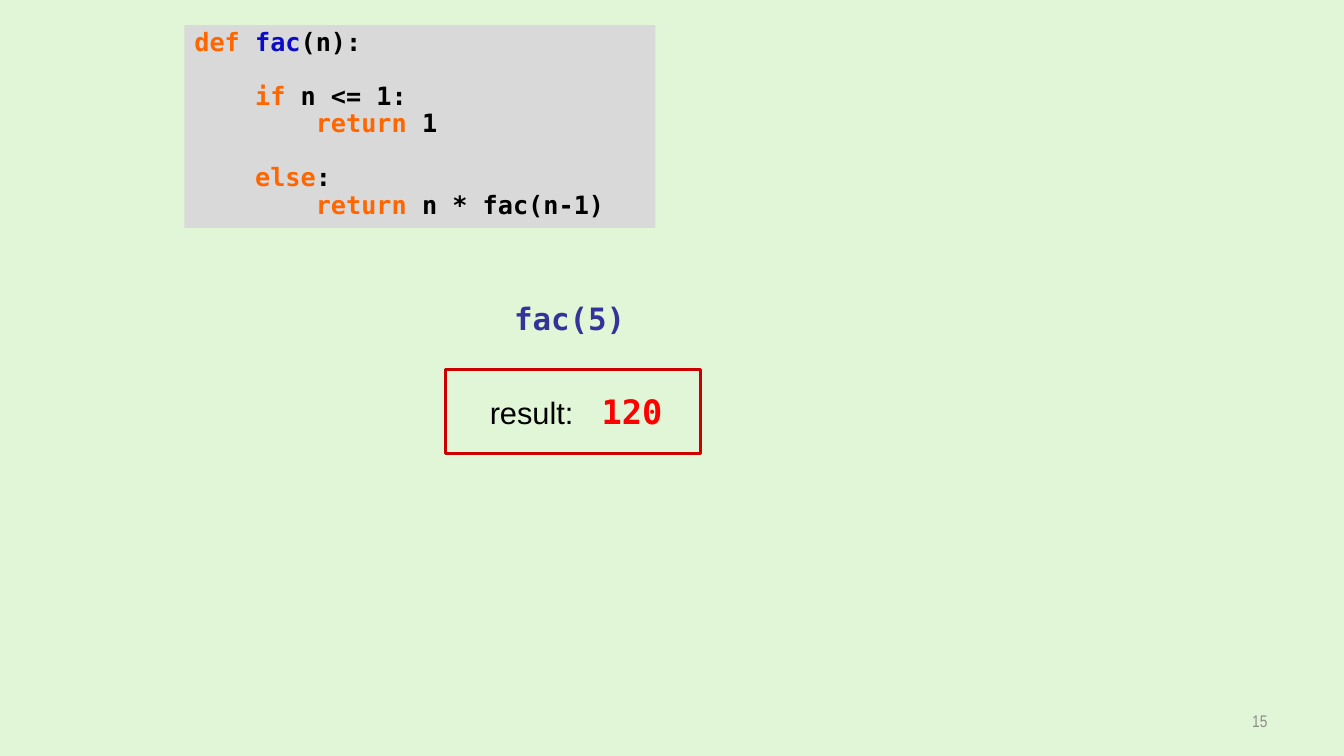
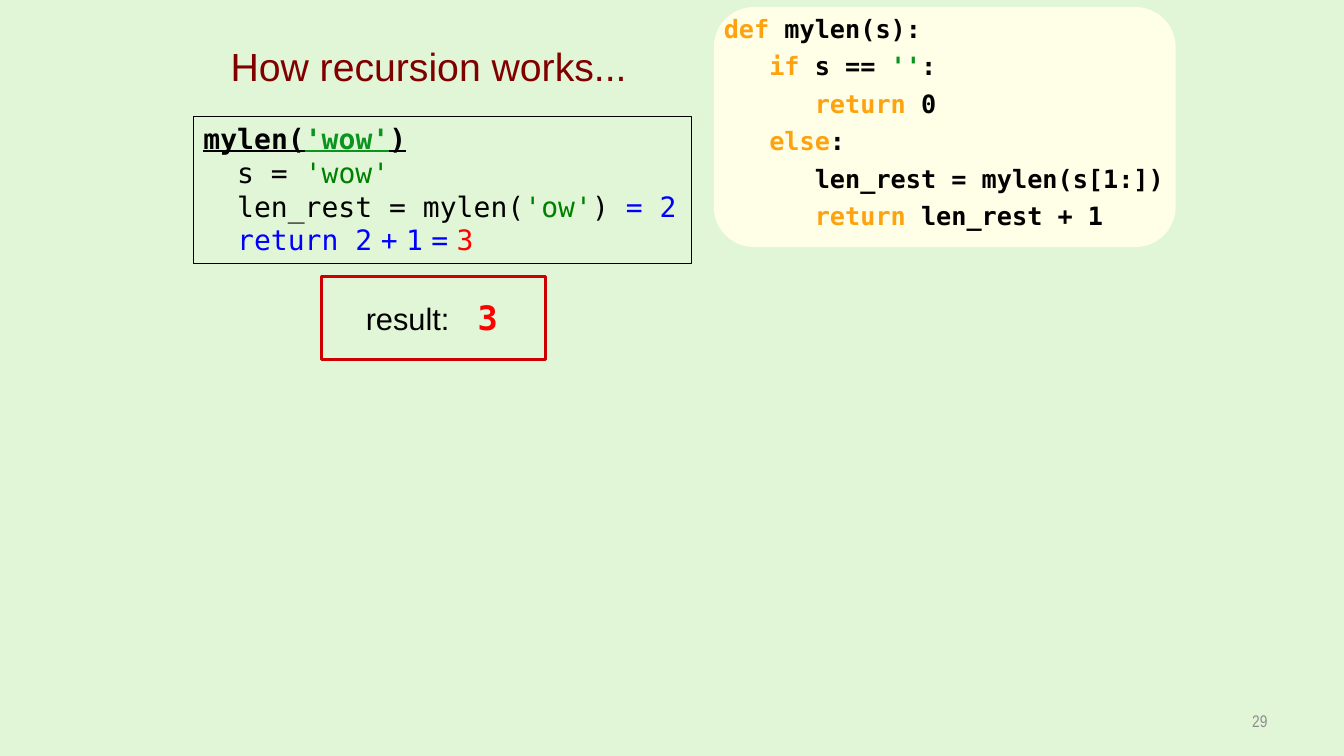
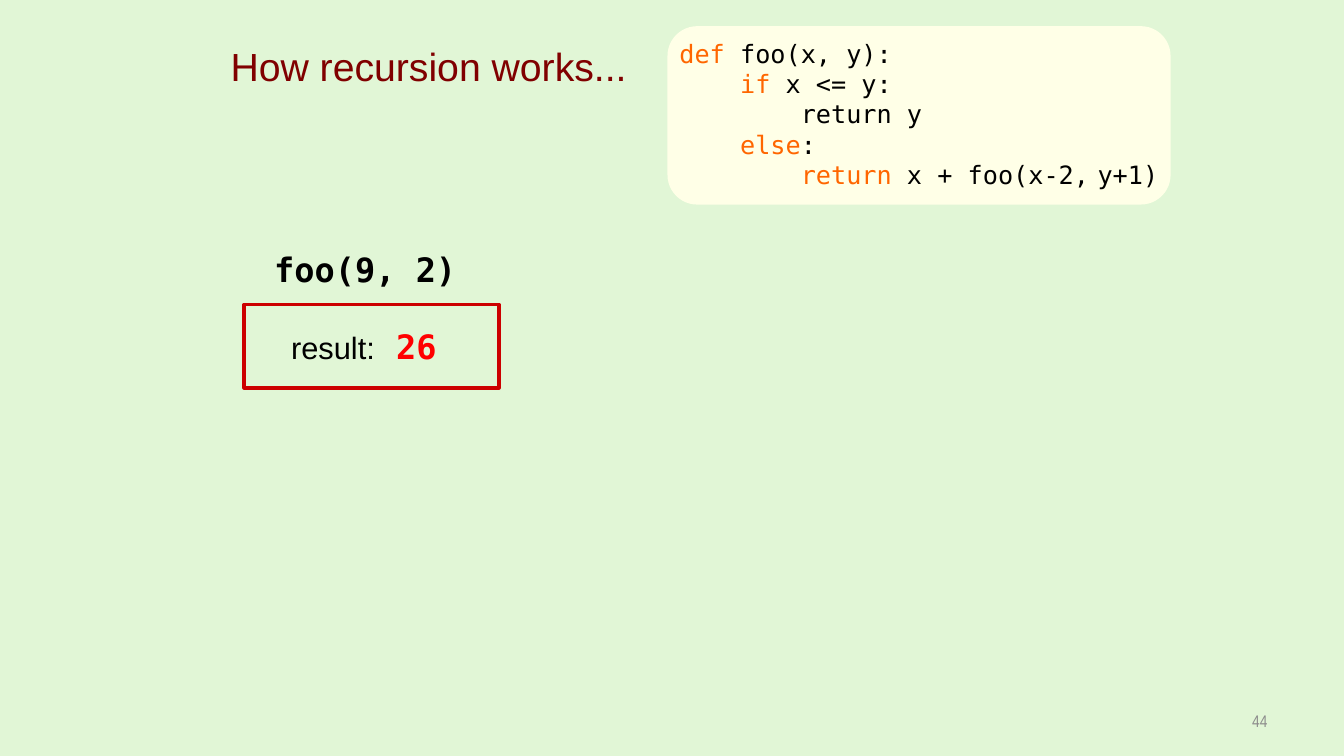
from dataclasses import dataclass, field

from lxml import etree
from pptx import Presentation
from pptx import util as u
from pptx.dml.color import RGBColor
from pptx.enum import shapes, text
from pptx.oxml.ns import qn


@dataclass(frozen=True)
class Theme:
    """Colours, fonts and type sizes shared by the slides."""

    background: str = "E1F6D6"
    panel: str = "FFFFE7"
    grey_panel: str = "D9D9D9"
    frame: str = "CC0000"
    title: str = "800000"
    footer: str = "8C8C8C"
    sans: str = "Arial"
    narrow: str = "Arial Narrow"
    mono: str = "DejaVu Sans Mono"
    title_size: int = 28
    result_size: int = 24
    label_size: int = 22
    trace_size: int = 20
    code_size: int = 18
    footer_size: int = 12
    thin_size: int = 10
    mono_advance: float = 0.602
    roles: dict = field(default_factory=lambda: {
        "plain": "000000",
        "keyword": "FF6600",
        "amber": "FEA30F",
        "function": "0C0BC6",
        "call": "333399",
        "quoted": "0B9520",
        "string": "008000",
        "value": "0000FF",
        "thin": "0000FF",
        "answer": "FF0000",
    })


@dataclass(frozen=True)
class Line:
    """One line of code: (text, role) runs, indent in characters, gap above in points."""

    runs: tuple
    indent: int = 0
    gap: float = 0
    heading: bool = False


THEME = Theme()


def code(*runs, **options):
    """Make a line of code from alternating texts and roles."""
    return Line(tuple(zip(runs[::2], runs[1::2])), **options)


def inches(box):
    """Convert left, top, width and height to lengths."""
    return [u.Inches(value) for value in box]


def style_run(run, font, size, colour, bold=False):
    """Set the font of one run."""
    run.font.name = font
    run.font.size = u.Pt(size)
    run.font.bold = bold
    run.font.color.rgb = RGBColor.from_string(colour)


def add_run(paragraph, words, *style):
    """Append a formatted run and return it."""
    run = paragraph.add_run()
    run.text = words
    style_run(run, *style)
    return run


def add_box(slide, box, preset=shapes.MSO_SHAPE.RECTANGLE, fill=None, line=None, width=0.75):
    """Add a preset shape with an optional fill and outline."""
    shape = slide.shapes.add_shape(preset, *inches(box))
    shape.shadow.inherit = False
    if fill:
        shape.fill.solid()
        shape.fill.fore_color.rgb = RGBColor.from_string(fill)
    else:
        shape.fill.background()
    if line:
        shape.line.color.rgb = RGBColor.from_string(line)
        shape.line.width = u.Pt(width)
    else:
        shape.line.fill.background()
    return shape


def add_text_box(slide, box):
    """Add an empty text box that wraps."""
    shape = slide.shapes.add_textbox(*inches(box))
    shape.text_frame.word_wrap = True
    return shape


def write_code(shape, lines, size=THEME.code_size, bold=False, spacing=1.0):
    """Write lines of code into a shape with measured indents."""
    frame = shape.text_frame
    frame.word_wrap = True
    frame.vertical_anchor = text.MSO_ANCHOR.TOP
    for number, line in enumerate(lines):
        paragraph = frame.add_paragraph() if number else frame.paragraphs[0]
        paragraph.alignment = text.PP_ALIGN.LEFT
        paragraph.line_spacing = spacing
        paragraph.space_before = u.Pt(line.gap)
        margin = u.Pt(line.indent * size * THEME.mono_advance)
        properties = paragraph._p.get_or_add_pPr()
        properties.set("marL", str(int(margin)))
        properties.set("indent", "0")
        for words, role in line.runs:
            run_size = THEME.thin_size if role == "thin" else size
            run = add_run(paragraph, words, THEME.mono, run_size,
                          THEME.roles[role], bold or line.heading)
            run.font.underline = line.heading


def add_code_panel(slide, panel, code_box, lines, **options):
    """Add a rounded panel with code over it."""
    add_box(slide, panel, shapes.MSO_SHAPE.ROUNDED_RECTANGLE, THEME.panel)
    write_code(add_text_box(slide, code_box), lines, **options)


def add_result(slide, left, top, width, answer, inset=0.34, tab=1.11):
    """Add a red frame holding the result label and answer."""
    label = add_text_box(slide, (left + inset, top + 0.16, 2.06, 0.5))
    paragraph = label.text_frame.paragraphs[0]
    stops = etree.SubElement(paragraph._p.get_or_add_pPr(), qn("a:tabLst"))
    etree.SubElement(stops, qn("a:tab"), pos=str(int(u.Inches(tab))), algn="l")
    add_run(paragraph, "result:\t", THEME.sans, THEME.label_size, THEME.roles["plain"])
    add_run(paragraph, answer, THEME.mono, THEME.result_size, THEME.roles["answer"], True)
    add_box(slide, (left, top, width, 0.83), line=THEME.frame, width=2.25)


def add_footer(slide, number):
    """Add the page number at the lower right."""
    frame = add_text_box(slide, (9.56, 6.95, 3.11, 0.4)).text_frame
    frame.vertical_anchor = text.MSO_ANCHOR.MIDDLE
    paragraph = frame.paragraphs[0]
    paragraph.alignment = text.PP_ALIGN.RIGHT
    add_run(paragraph, number, THEME.narrow, THEME.footer_size, THEME.footer)


def add_slide(presentation, number, title=None):
    """Add a slide with its page number and an optional title."""
    layout = presentation.slide_layouts.get_by_name("Title Only" if title else "Blank")
    slide = presentation.slides.add_slide(layout)
    if title:
        shape = slide.shapes.title
        shape.left, shape.top, shape.width, shape.height = inches((2, 0.64, 4.5, 0.34))
        frame = shape.text_frame
        frame.text = title
        frame.auto_size = text.MSO_AUTO_SIZE.NONE
        frame.vertical_anchor = text.MSO_ANCHOR.TOP
        paragraph = frame.paragraphs[0]
        paragraph.alignment = text.PP_ALIGN.CENTER
        paragraph.line_spacing = u.Pt(14)
        style_run(paragraph.runs[0], THEME.sans, THEME.title_size, THEME.title)
    add_footer(slide, number)
    return slide


def build_factorial(presentation):
    """Build the factorial slide."""
    slide = add_slide(presentation, "15")
    block_gap = 19
    write_code(add_text_box(slide, (5, 2.92, 3.25, 0.47)),
               [code("fac(5)", "call")], size=THEME.label_size, bold=True)
    add_result(slide, 4.42, 3.67, 2.53, "120")
    panel = add_box(slide, (1.83, 0.25, 4.67, 2.01), fill=THEME.grey_panel)
    write_code(panel, [
        code("def ", "keyword", "fac", "function", "(n):", "plain"),
        code("if", "keyword", " n <= 1:", "plain", indent=4, gap=block_gap),
        code("return", "keyword", " 1", "plain", indent=8),
        code("else", "keyword", ":", "plain", indent=4, gap=block_gap),
        code("return", "keyword", " n * fac(n-1)", "plain", indent=8),
    ], bold=True, spacing=0.9)


def build_length(presentation, title):
    """Build the string length slide."""
    slide = add_slide(presentation, "29", title)
    gap = 9.5
    add_code_panel(slide, (7.08, 0.07, 4.58, 2.38), (7.08, 0.14, 4.58, 2.31), [
        code("def ", "amber", "mylen(s):", "plain"),
        code("if ", "amber", "s == ", "plain", "''", "quoted", ":", "plain", indent=3, gap=gap),
        code("return ", "amber", "0", "plain", indent=6, gap=gap),
        code("else", "amber", ":", "plain", indent=3, gap=gap),
        code("len_rest = mylen(s[1:])", "plain", indent=6, gap=gap),
        code("return ", "amber", "len_rest + 1", "plain", indent=6, gap=gap),
    ], bold=True, spacing=0.8)
    trace = add_box(slide, (1.92, 1.16, 4.94, 1.45), line=THEME.roles["plain"])
    write_code(trace, [
        code("mylen(", "plain", "'wow'", "quoted", ")", "plain", heading=True),
        code("s = ", "plain", "'wow'", "string", indent=2),
        code("len_rest = mylen(", "plain", "'ow'", "string", ") ", "plain",
             "= 2", "value", indent=2),
        code("return 2", "value", " ", "thin", "+", "value", " ", "thin", "1", "value",
             " ", "thin", "=", "value", " ", "thin", "3", "answer", indent=2),
    ], size=THEME.trace_size)
    add_result(slide, 3.19, 2.74, 2.22, "3")


def build_foo(presentation, title):
    """Build the two-argument recursion slide."""
    slide = add_slide(presentation, "44", title)
    add_code_panel(slide, (6.62, 0.26, 4.99, 1.77), (6.64, 0.33, 5.03, 1.62), [
        code("def ", "keyword", "foo(x, y):", "plain"),
        code("if", "keyword", " x <= y:", "plain", indent=4),
        code("return y", "plain", indent=8),
        code("else", "keyword", ":", "plain", indent=4),
        code("return ", "keyword", "x + foo(x-2,", "plain", " ", "thin", "y+1)", "plain",
             indent=8),
    ])
    write_code(add_text_box(slide, (2.42, 2.42, 3.08, 0.5)),
               [code("foo(9, 2)", "plain", indent=1)], size=THEME.result_size, bold=True)
    add_result(slide, 2.42, 3.02, 2.53, "26", inset=0.37, tab=1.04)


def main():
    """Build and save the presentation."""
    presentation = Presentation()
    presentation.slide_width = u.Inches(13.33)
    presentation.slide_height = u.Inches(7.5)
    background = presentation.slide_master.background.fill
    background.solid()
    background.fore_color.rgb = RGBColor.from_string(THEME.background)
    title = "How recursion works..."
    build_factorial(presentation)
    build_length(presentation, title)
    build_foo(presentation, title)
    presentation.save("out.pptx")


if __name__ == "__main__":
    main()
